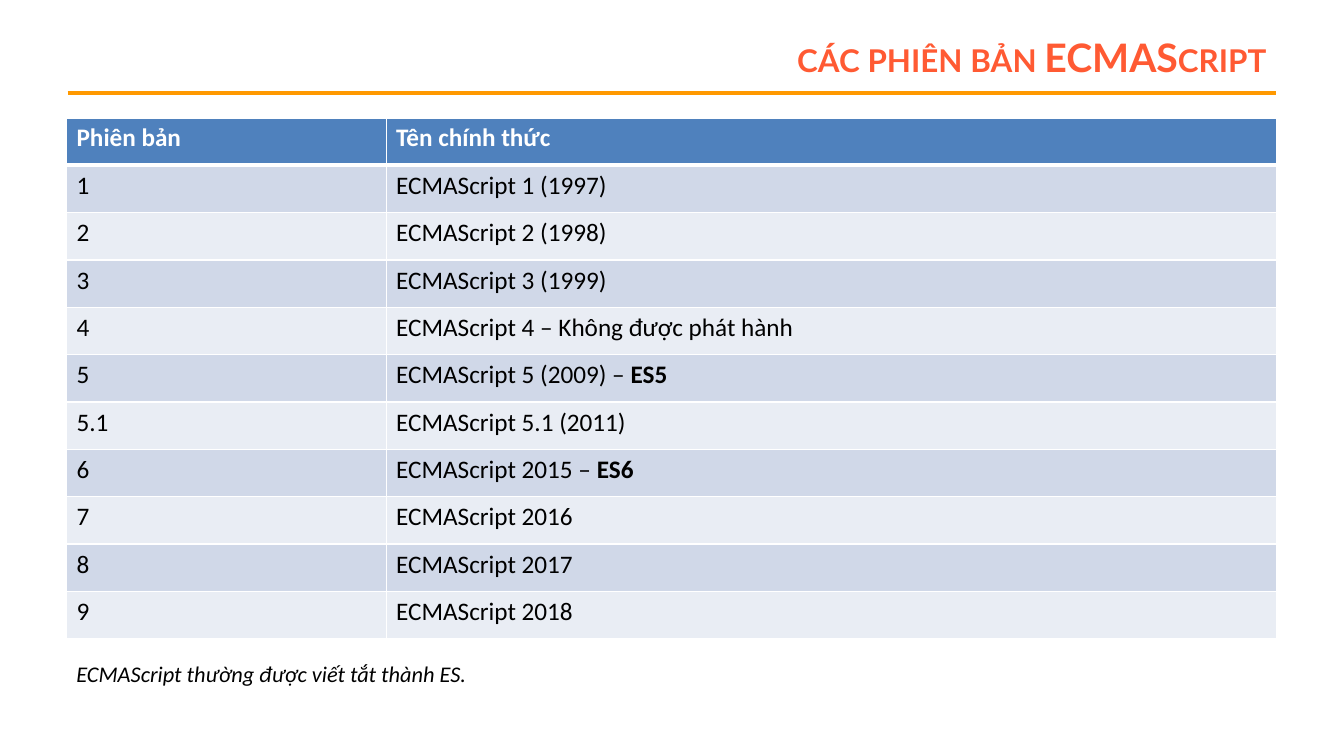
import pptx
import pptx.dml.color
import pptx.enum.shapes
import pptx.enum.text
import pptx.oxml
import pptx.oxml.ns
import pptx.util

PX = 9144  # EMU per px, 100 px to the inch
ORANGE, CORAL, WHITE, BLACK = "FF9900", "FF5A33", "FFFFFF", "000000"
HEADER_BLUE, BANDS = "4F81BD", ("D0D8E8", "E9EDF4")

# Each row holds the version, its official name and an optional bold short name.
VERSIONS = [
    ("1", "ECMAScript 1 (1997)"),
    ("2", "ECMAScript 2 (1998)"),
    ("3", "ECMAScript 3 (1999)"),
    ("4", "ECMAScript 4 – Không được phát hành"),
    ("5", "ECMAScript 5 (2009) – ", "ES5"),
    ("5.1", "ECMAScript 5.1 (2011)"),
    ("6", "ECMAScript 2015 – ", "ES6"),
    ("7", "ECMAScript 2016"),
    ("8", "ECMAScript 2017"),
    ("9", "ECMAScript 2018"),
]


def px(length):
    return pptx.util.Emu(length * PX)


def rgb(color):
    return pptx.dml.color.RGBColor.from_string(color)


class SlideBuilder:
    def __init__(self, slide, font):
        self.slide = slide
        self.font = font

    def add_span(self, para, text, size, color, font=None, bold=False, italic=False):
        span = para.add_run()
        span.text = text
        style = para.font
        style.name = font or self.font
        style.size = pptx.util.Pt(size)
        style.bold, style.italic = bold, italic
        style.color.rgb = rgb(color)
        return span

    def text(self, left, top, width, height, text, size, color, **style):
        box = self.slide.shapes.add_textbox(px(left), px(top), px(width), px(height))
        box.text_frame.word_wrap = True
        self.add_span(box.text_frame.paragraphs[0], text, size, color, **style)
        return box

    def title(self, left, top, width, height, text):
        box = self.text(left, top, width, height, text, 28, CORAL, font="Lato", bold=True)
        box.text_frame.vertical_anchor = pptx.enum.text.MSO_ANCHOR.MIDDLE
        para = box.text_frame.paragraphs[0]
        para.alignment = pptx.enum.text.PP_ALIGN.RIGHT
        para.runs[0].font._element.set("cap", "small")

    def rule(self, left, right, y, color, weight):
        line = self.slide.shapes.add_connector(
            pptx.enum.shapes.MSO_CONNECTOR.STRAIGHT, px(left), px(y), px(right), px(y))
        line.line.color.rgb = rgb(color)
        line.line.width = pptx.util.Pt(weight)
        line._element.spPr.append(pptx.oxml.parse_xml(
            f'<a:effectLst {pptx.oxml.ns.nsdecls("a")}/>'))

    def borders(self, cell, top, bottom):
        """Draw white borders, one point wide at the sides."""
        properties = cell._tc.get_or_add_tcPr()
        for side, weight in (("L", 1), ("R", 1), ("T", top), ("B", bottom)):
            properties.append(pptx.oxml.parse_xml(
                f'<a:ln{side} {pptx.oxml.ns.nsdecls("a")} w="{pptx.util.Pt(weight)}">'
                f'<a:solidFill><a:srgbClr val="{WHITE}"/></a:solidFill></a:ln{side}>'))

    def table(self, left, top, widths, row_height, header, rows):
        frame = self.slide.shapes.add_table(
            len(rows) + 1, len(widths), px(left), px(top),
            px(sum(widths)), px(row_height * (len(rows) + 1)))
        table = frame.table
        for column, width in zip(table.columns, widths):
            column.width = px(width)
        for index, (version, name, *short) in enumerate([header, *rows]):
            table.rows[index].height = px(row_height)
            is_header = index == 0
            fill = HEADER_BLUE if is_header else BANDS[(index - 1) % 2]
            color = WHITE if is_header else BLACK
            for column, text in enumerate((version, name)):
                cell = table.cell(index, column)
                self.borders(cell, 3 if index == 1 else 1, 3 if is_header else 1)
                cell.fill.solid()
                cell.fill.fore_color.rgb = rgb(fill)
                para = cell.text_frame.paragraphs[0]
                self.add_span(para, text, 18, color, bold=is_header)
            for text in short:
                self.add_span(para, text, 18, color).font.bold = True


def main():
    deck = pptx.Presentation()
    deck.slide_width, deck.slide_height = px(1333), px(750)
    page = SlideBuilder(deck.slides.add_slide(deck.slide_layouts[6]), "Calibri")
    page.rule(67, 1266, 92, ORANGE, 3)
    page.title(300, 30, 966, 53, "các phiên bản ECMAScript")
    page.table(66, 117, (317, 883), 47, ("Phiên bản", "Tên chính thức"), VERSIONS)
    page.text(66, 650, 850, 37, "ECMAScript thường được viết tắt thành ES.",
              16, BLACK, italic=True)
    deck.save("out.pptx")


if __name__ == "__main__":
    main()
